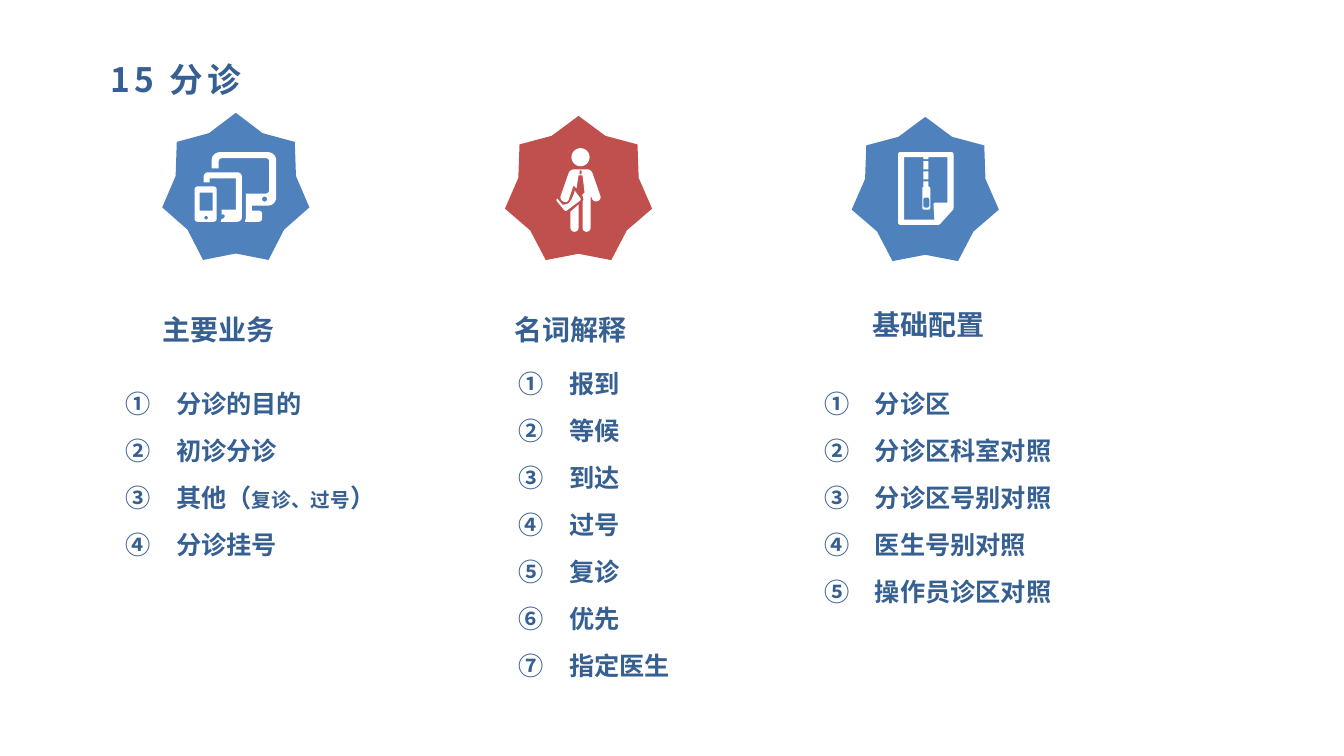
from math import dist, sqrt

from lxml import etree
from pptx import Presentation
from pptx.dml.color import RGBColor
from pptx.enum.shapes import MSO_SHAPE
from pptx.enum.text import PP_ALIGN
from pptx.oxml.ns import qn
from pptx.util import Pt

STAR = MSO_SHAPE.STAR_7_POINT
LEFT, JUSTIFY = PP_ALIGN.LEFT, PP_ALIGN.JUSTIFY
BLUE, RED, NAVY, WHITE = "4F81BD", "C0504D", "376092", "FFFFFF"
HEADING_FONT, LIST_FONT = "Noto Sans CJK SC", "Arial"
ICON_UNIT = 0.72
CURVE_STEPS = 6


def box(left, top, right, bottom, radius=0):
    """Return the corners of a rectangle as (x, y, corner radius)."""
    return [(left, top, radius), (right, top, radius),
            (right, bottom, radius), (left, bottom, radius)]


def disc(x, y, radius):
    """Return a circle as a fully rounded square."""
    return box(x - radius, y - radius, x + radius, y + radius, radius)


DEVICES = [
    disc(204.5, 216, 1.8), disc(262.5, 197.5, 2.5),
    box(198, 191, 211, 209), box(193, 185, 215, 220, 3),
    [(202, 171, 4.5), (240, 171, 4.5), (240, 220, 4.5), (219, 220), (220, 217),
     (223, 217, 2.5), (223, 212, 2.5), (220, 213), (220, 208), (234, 208),
     (234, 177), (208, 177), (208, 181), (202, 181)],
    [(210, 151, 8), (274, 151, 8), (274, 204, 8), (250, 204), (250, 209),
     (260, 209, 3), (260, 220, 3), (243, 220), (244, 216), (244, 192),
     (267, 192, 3), (267, 157, 3), (217, 157, 3), (217, 167), (210, 167)],
]
PERSON = [
    disc(576, 156, 9), box(575, 169, 577, 173, 0.5),
    [(574, 203), (574, 230, 4), (566, 230, 4), (566, 210)],
    [(570, 189), (577, 198, 2), (561, 210, 2), (551.5, 198.5, 1.5),
     (553, 197), (558, 203), (560, 203), (564, 202), (567, 198), (570, 191)],
    [(565.5, 168, 4), (586.5, 168, 4), (597, 198, 4), (589, 201, 4),
     (586, 194), (586, 230, 4), (578, 230, 4), (578, 200), (579, 198),
     (578, 194), (577, 194), (580, 191), (578, 174), (574, 174), (572, 187),
     (569, 184), (563, 202, 4), (555, 198, 4)],
]
ZIP_DOCUMENT = [
    [(891, 151, 2), (946, 151, 2), (946, 207.5, 1), (932, 223, 1), (891, 223, 2)],
    [(897, 156), (916, 156), (916, 158), (921, 158), (921, 156), (940, 156),
     (940, 201), (926, 201, 2), (927, 218), (897, 218)],
    box(916, 160, 921, 168), box(916, 170, 921, 178),
    [(916, 180), (921, 180), (921, 185), (923, 185, 2), (923, 208, 2),
     (915, 208, 2), (915, 185, 2), (916, 185)],
    box(916, 196, 922, 206, 2),
]


def rgb(colour):
    """Turn a hex string into a colour."""
    return RGBColor.from_string(colour)


def paint(shape, colour):
    """Fill a shape flat, with no line or shadow."""
    shape.fill.solid()
    shape.fill.fore_color.rgb = rgb(colour)
    shape.line.fill.background()
    shape.shadow.inherit = False


def toward(corner, neighbour, radius):
    """Return the place where rounding of a corner meets its edge."""
    share = radius / dist(corner, neighbour)
    return [c + (n - c) * share for c, n in zip(corner, neighbour)]


def outline(corners):
    """Return the points of a closed outline with its corners rounded."""
    places = [corner[:2] for corner in corners]
    points = []
    for i, corner in enumerate(corners):
        radius = corner[2] if len(corner) > 2 else 0
        if not radius:
            points.append(places[i])
            continue
        start = toward(places[i], places[i - 1], radius)
        end = toward(places[i], places[(i + 1) % len(places)], radius)
        for step in range(CURVE_STEPS + 1):
            t = step / CURVE_STEPS
            weights = (1 - t) ** 2, sqrt(2) * t * (1 - t), t ** 2
            points.append([sum(w * v for w, v in zip(weights, values)) / sum(weights)
                           for values in zip(start, places[i], end)])
    return [(x * ICON_UNIT * 100, y * ICON_UNIT * 100) for x, y in points]


def add_icon(slide, contours):
    """Draw a white icon from several outlines."""
    first, *others = [outline(contour) for contour in contours]
    builder = slide.shapes.build_freeform(*first[0], scale=Pt(0.01))
    builder.add_line_segments(first[1:], close=True)
    for points in others:
        builder.move_to(*points[0])
        builder.add_line_segments(points[1:], close=True)
    paint(builder.convert_to_shape(), WHITE)


def add_star(slide, left, top, height, colour):
    """Draw a seven-pointed badge."""
    star = slide.shapes.add_shape(STAR, Pt(left), Pt(top), Pt(105.1), Pt(height))
    star.adjustments[0] = 0.409
    paint(star, colour)


def style(paragraph, size, face):
    """Set the bold navy font of a paragraph."""
    font = paragraph.font
    font.size, font.bold, font.name = Pt(size), True, face
    font.color.rgb = rgb(NAVY)
    properties = paragraph._p.pPr.find(qn("a:defRPr"))
    etree.SubElement(properties, qn("a:ea")).set("typeface", HEADING_FONT)
    return properties


def add_frame(slide, left, top, width, height):
    """Add a wrapping text box and return its text frame."""
    frame = slide.shapes.add_textbox(Pt(left), Pt(top), Pt(width), Pt(height)).text_frame
    frame.word_wrap = True
    return frame


def add_heading(slide, text, place, size=20, spacing=0):
    """Add a single-line heading."""
    paragraph = add_frame(slide, *place).paragraphs[0]
    paragraph.text = text
    style(paragraph, size, HEADING_FONT).set("spc", str(spacing * 100))


def add_numbered_list(slide, items, place, face, align):
    """Add a list with circled numbers; an item is a tuple of (text, size) runs or a string."""
    frame = add_frame(slide, *place)
    for i, item in enumerate(items):
        paragraph = frame.paragraphs[0] if i == 0 else frame.add_paragraph()
        paragraph.alignment = align
        paragraph.space_before, paragraph.space_after = Pt(6 if i else 0), Pt(6)
        properties = paragraph._p.get_or_add_pPr()
        properties.set("marL", str(Pt(36)))
        properties.set("indent", str(Pt(-36)))
        etree.SubElement(properties, qn("a:buFont")).set("typeface", "+mj-ea")
        etree.SubElement(properties, qn("a:buAutoNum")).set("type", "circleNumDbPlain")
        style(paragraph, 18, face)
        for text, size in [(item, None)] if isinstance(item, str) else item:
            run = paragraph.add_run()
            run.text = text
            if size:
                run.font.size = Pt(size)


def main():
    """Build the triage slide."""
    deck = Presentation()
    deck.slide_width, deck.slide_height = Pt(960), Pt(540)
    slide = deck.slides.add_slide(deck.slide_layouts[6])

    add_heading(slide, "15 分诊", (71.5, 38.2, 727, 41.8), 24, 3)
    for left, top, height, colour, icon in (
            (115.9, 80.6, 105.1, BLUE, DEVICES),
            (360.7, 82.8, 103, RED, PERSON),
            (608.4, 83.5, 103, BLUE, ZIP_DOCUMENT)):
        add_star(slide, left, top, height, colour)
        add_icon(slide, icon)

    add_heading(slide, "主要业务", (108.7, 219.6, 172.8, 27.4))
    add_heading(slide, "名词解释", (360.7, 219.6, 155.5, 27.4))
    add_heading(slide, "基础配置", (616.3, 216, 134.6, 28.8))

    others = (("其他（", 18), ("复诊、过号", 14), ("）", 18))
    add_numbered_list(slide, ["分诊的目的", "初诊分诊", others, "分诊挂号"],
                      (82.8, 273.6, 198.7, 131), HEADING_FONT, JUSTIFY)
    add_numbered_list(slide, ["报到", "等候", "到达", "过号", "复诊", "优先", "指定医生"],
                      (363.6, 259.2, 222.5, 291.6), LIST_FONT, JUSTIFY)
    add_numbered_list(slide, ["分诊区", "分诊区科室对照", "分诊区号别对照",
                              "医生号别对照", "操作员诊区对照"],
                      (581.8, 273.6, 324, 164.9), LIST_FONT, LEFT)
    deck.save("out.pptx")


if __name__ == "__main__":
    main()
